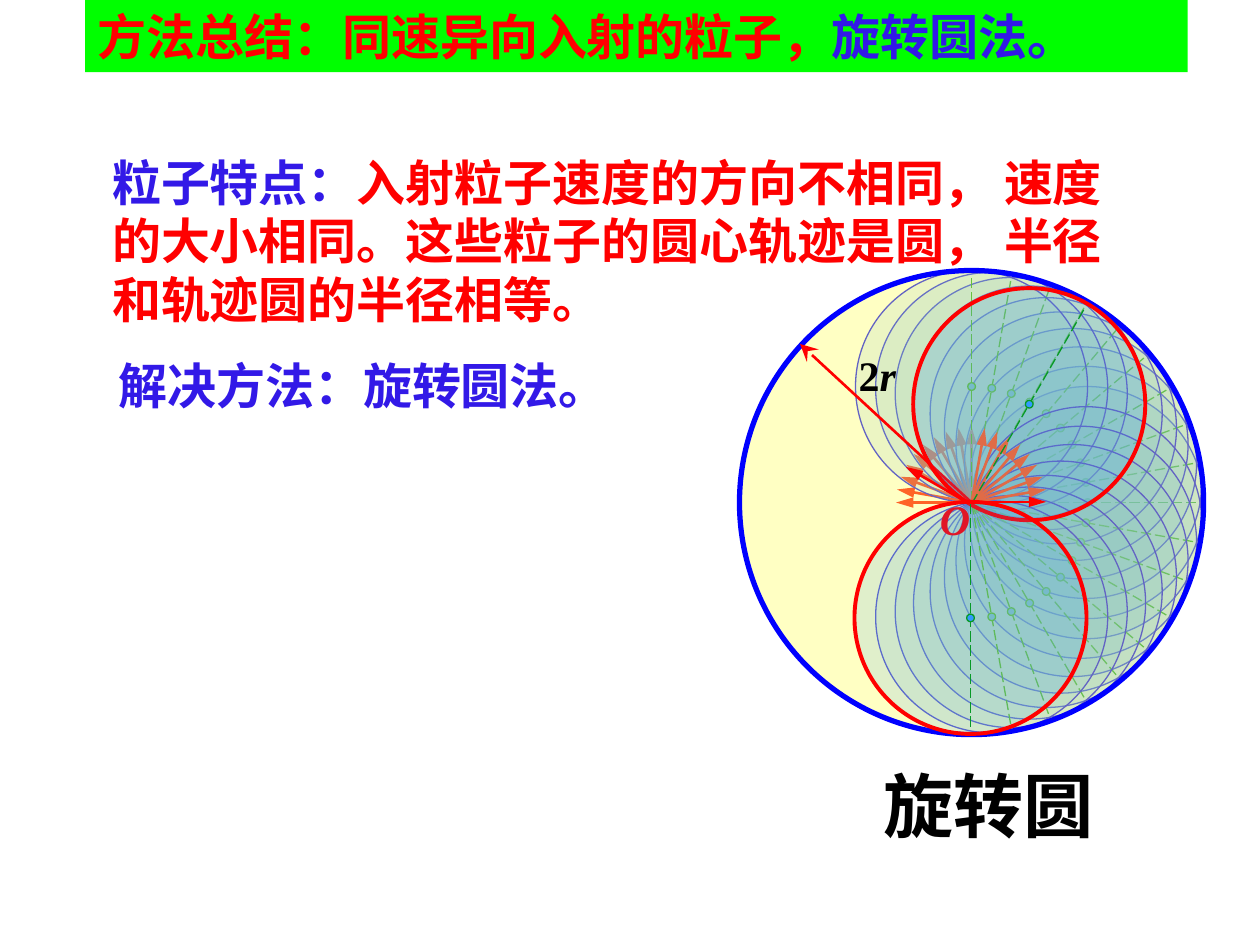
import math

import lxml.etree
import pptx
import pptx.dml.color
import pptx.enum.dml
import pptx.enum.shapes
import pptx.enum.text
import pptx.oxml.ns
import pptx.util

Pt = pptx.util.Pt
COLOURS = {
    "red": "FF0000", "blue": "0000FF", "violet": "3219E7", "green": "009900",
    "bar": "00FF00", "sky": "3399FF", "yellow": "FFFF66", "black": "000000",
}
SANS_JP, SANS_SC = "Noto Sans CJK JP", "Noto Sans CJK SC"
SERIF = "Times New Roman"

# Box (left, top, width, height), then spans (text, font, size, colour, italic)
TITLE = ((48.6, 0, 630, 41.2), [
    ("方法总结：同速异向入射的粒子，", SANS_SC, 28, "red", False),
    ("旋转圆法。", SANS_JP, 28, "violet", False),
])
BODIES = [
    ((56.9, 83.3, 587.5, 108.7), [
        ("粒子特点：", SANS_JP, 28, "violet", False),
        ("入射粒子速度的方向不相同， 速度的大小相同。这些粒子的圆心轨迹是圆， "
         "半径和轨迹圆的半径相等。", SANS_JP, 28, "red", False),
    ]),
    ((60.5, 199.4, 630.7, 41), [("解决方法：旋转圆法。", SANS_JP, 28, "violet", False)]),
]
ORIGIN_LABEL = ((530, 278.6, 31.7, 36), [("O", SERIF, 24, "red", True)])
RADIUS_LABEL = ((483.6, 196, 36, 36), [
    ("2", SERIF, 24, "black", False), ("r", SERIF, 24, "black", True),
])
CAPTION = ((497.8, 432, 138.2, 55.4), [("旋转圆", "Arial", 40, "black", False)])

ORIGIN = (555.2, 287.2)
RADIUS = 66.3
DOT_RADIUS = 2.2
SPOKE = (1, 130.6)
VELOCITY = 43.2
RADIUS_TIP = (457.2, 196.6)
ANGLES = [*range(0, -100, -10), *range(10, 90, 10)]
# Angle of each highlighted orbit and the point it turns about
HIGHLIGHTS = [(-60, (555, 288.4)), (90, (554.6, 286.8))]
# Arrowhead type, then its width and length
TRIANGLE = {"type": "triangle", "w": "med", "len": "lg"}
STEALTH = {"type": "stealth", "w": "lg", "len": "lg"}


def colour(name):
    return pptx.dml.color.RGBColor.from_string(COLOURS[name])


def write(shape, spans, wrap=True):
    frame = shape.text_frame
    settings = {
        "word_wrap": wrap,
        "auto_size": pptx.enum.text.MSO_AUTO_SIZE.NONE,
        "vertical_anchor": pptx.enum.text.MSO_ANCHOR.TOP,
    }
    for key, value in settings.items():
        setattr(frame, key, value)
    para = frame.paragraphs[0]
    para.alignment = pptx.enum.text.PP_ALIGN.LEFT
    para.space_before = Pt(0)
    for text, font, size, name, italic in spans:
        span = para.add_run()
        span.text = text
        values = {"name": font, "size": Pt(size), "bold": True, "italic": italic}
        for key, value in values.items():
            setattr(span.font, key, value)
        span.font.color.rgb = colour(name)
        east_asian = lxml.etree.SubElement(
            span.font._element, pptx.oxml.ns.qn("a:ea"))
        east_asian.set("typeface", font)


def fill_placeholder(shape, box, spans):
    for key, value in zip(("left", "top", "width", "height"), box):
        setattr(shape, key, Pt(value))
    write(shape, spans)


def remove_bullet(para):
    properties = para._p.get_or_add_pPr()
    properties.set("marL", "0")
    properties.set("indent", "0")
    lxml.etree.SubElement(properties, pptx.oxml.ns.qn("a:buNone"))


def add_label(slide, box, spans, wrap=True):
    label = slide.shapes.add_textbox(*map(Pt, box))
    write(label, spans, wrap)


def polar(angle, distance, origin=ORIGIN):
    """Point at a clockwise angle in degrees from the rightward axis."""
    turn = math.radians(angle)
    return (round(origin[0] + distance * math.cos(turn), 2),
            round(origin[1] + distance * math.sin(turn), 2))


def add_circle(shapes, centre, radius, fill, line, width, opacity=100):
    circle = shapes.add_shape(
        pptx.enum.shapes.MSO_SHAPE.OVAL, Pt(centre[0] - radius),
        Pt(centre[1] - radius), Pt(2 * radius), Pt(2 * radius))
    circle.shadow.inherit = False
    circle.fill.solid()
    circle.fill.fore_color.rgb = colour(fill)
    circle.line.color.rgb = colour(line)
    circle.line.width = Pt(width)
    if opacity < 100:
        paint = circle._element.spPr.find(".//" + pptx.oxml.ns.qn("a:srgbClr"))
        alpha = lxml.etree.SubElement(paint, pptx.oxml.ns.qn("a:alpha"))
        alpha.set("val", str(opacity * 1000))


def add_line(shapes, start, end, name, width, head=None):
    """Arrow with the given head, or a dashed line when there is none."""
    line = shapes.add_connector(
        pptx.enum.shapes.MSO_CONNECTOR.STRAIGHT, *map(Pt, (*start, *end)))
    line.line.color.rgb = colour(name)
    line.line.width = Pt(width)
    if head:
        lxml.etree.SubElement(
            line.line._get_or_add_ln(), pptx.oxml.ns.qn("a:tailEnd"), head)
    else:
        line.line.dash_style = pptx.enum.dml.MSO_LINE.LONG_DASH
    lxml.etree.SubElement(line._element.spPr, pptx.oxml.ns.qn("a:effectLst"))


def add_orbit(slide, angle, line, width, origin=ORIGIN):
    """One particle: diameter, centre dot, orbit circle and velocity arrow."""
    shapes = slide.shapes.add_group_shape().shapes
    centre = polar(angle, RADIUS, origin)
    inner, outer = (polar(angle, distance, origin) for distance in SPOKE)
    add_line(shapes, inner, outer, "green", 0.75)
    add_circle(shapes, centre, DOT_RADIUS, "sky", "green", 0.75)
    add_circle(shapes, centre, RADIUS, "sky", line, width, 15)
    tip = polar(angle - 90, VELOCITY, origin)
    add_line(shapes, origin, tip, "red", 1.5, TRIANGLE)


def main():
    deck = pptx.Presentation()
    deck.slide_width, deck.slide_height = Pt(720), Pt(540)
    slide = deck.slides.add_slide(deck.slide_layouts.get_by_name("Two Content"))

    title, *bodies = slide.placeholders
    fill_placeholder(title, *TITLE)
    title.fill.solid()
    title.fill.fore_color.rgb = colour("bar")
    for body, content in zip(bodies, BODIES):
        fill_placeholder(body, *content)
        remove_bullet(body.text_frame.paragraphs[0])

    for angle in ANGLES:
        add_orbit(slide, angle, "blue", 0.75)
    add_circle(slide.shapes, ORIGIN, 2 * RADIUS, "yellow", "blue", 3, 39)
    add_label(slide, *ORIGIN_LABEL, wrap=False)
    add_line(slide.shapes, ORIGIN, RADIUS_TIP, "red", 1.5, STEALTH)
    add_label(slide, *RADIUS_LABEL, wrap=False)
    for angle, origin in HIGHLIGHTS:
        add_orbit(slide, angle, "red", 2.25, origin)
    add_label(slide, *CAPTION)
    deck.save("out.pptx")


if __name__ == "__main__":
    main()
